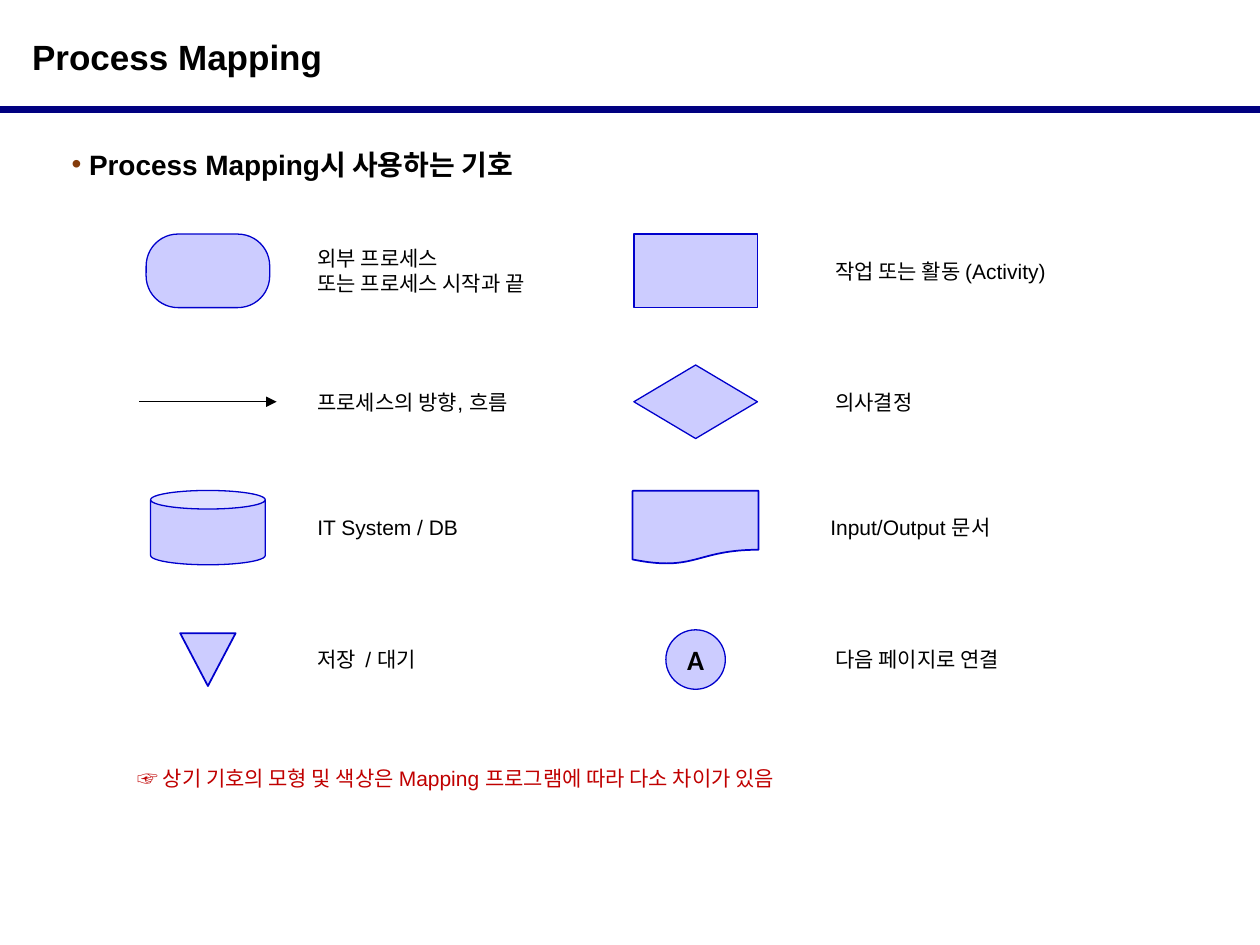
from typing import NamedTuple, Optional

from lxml import etree
from pptx import Presentation
from pptx.dml.color import RGBColor
from pptx.enum.shapes import MSO_CONNECTOR, MSO_SHAPE
from pptx.enum.text import MSO_ANCHOR, MSO_AUTO_SIZE, PP_ALIGN
from pptx.oxml.ns import qn
from pptx.util import Pt

TOP, MIDDLE = MSO_ANCHOR.TOP, MSO_ANCHOR.MIDDLE
LEFT, CENTER, JUSTIFY = PP_ALIGN.LEFT, PP_ALIGN.CENTER, PP_ALIGN.JUSTIFY
STRAIGHT = MSO_CONNECTOR.STRAIGHT

BLACK = RGBColor(0x00, 0x00, 0x00)
NAVY = RGBColor(0x00, 0x00, 0x80)
BLUE = RGBColor(0x00, 0x00, 0xCC)
LAVENDER = RGBColor(0xCC, 0xCC, 0xFF)
RED = RGBColor(0xC0, 0x00, 0x00)
BROWN = "843C0B"

# Legend grid in points: two columns, four row centres
SYMBOL_X = (118.8, 397.5)
LABEL_X = (177.1, 470.2)
ROW_Y = (154.8, 229.6, 301.5, 376.9)
WIDE, NARROW = 7.2, 4.3


class Symbol(NamedTuple):
    col: int
    row: int
    shape: Optional[MSO_SHAPE]  # None stands for the flow arrow
    w: float
    h: float
    label: tuple[str, ...]
    label_w: float = 136
    inset: float = NARROW
    line_w: float = 0.75
    adj: Optional[float] = None
    rotation: float = 0
    letter: str = ""


SYMBOLS = (
    Symbol(0, 0, MSO_SHAPE.ROUNDED_RECTANGLE, 70.6, 42,
           ("외부 프로세스", "또는 프로세스 시작과 끝"), 158.4, adj=0.433),
    Symbol(1, 0, MSO_SHAPE.RECTANGLE, 70.6, 42,
           ("작업 또는 활동 (Activity)",), 152, WIDE),
    Symbol(0, 1, None, 78.5, 0, ("프로세스의 방향, 흐름",)),
    Symbol(1, 1, MSO_SHAPE.DIAMOND, 70.6, 42, ("의사결정",), 72, WIDE),
    Symbol(0, 2, MSO_SHAPE.CAN, 65.5, 42.5, ("IT System / DB",), adj=0.25),
    Symbol(1, 2, MSO_SHAPE.FLOWCHART_DOCUMENT, 72, 42,
           ("Input/Output 문서",), line_w=1),
    Symbol(0, 3, MSO_SHAPE.ISOSCELES_TRIANGLE, 31.7, 30.2,
           ("저장  / 대기",), line_w=1, adj=0.5, rotation=180),
    Symbol(1, 3, MSO_SHAPE.OVAL, 34, 34, ("다음 페이지로 연결",), 131, WIDE,
           letter="A"),
)


def write(tf, lines: tuple[str, ...], size: float, color: RGBColor = BLACK,
          bold: bool = False, font: str = "Arial", align: PP_ALIGN = LEFT,
          anchor: MSO_ANCHOR = TOP, inset: float = WIDE,
          spacing: float = 1.0) -> None:
    tf.word_wrap = True
    tf.auto_size = MSO_AUTO_SIZE.NONE
    tf.vertical_anchor = anchor
    tf.margin_left = tf.margin_right = Pt(inset)
    tf.margin_top = tf.margin_bottom = Pt(3.6)
    for i, text in enumerate(lines):
        p = tf.paragraphs[0] if i == 0 else tf.add_paragraph()
        p.alignment, p.line_spacing = align, spacing
        r = p.add_run()
        r.text = text
        f = r.font
        f.name, f.size, f.bold = font, Pt(size), bold
        f.color.rgb = color


def add_text(s, x: float, y: float, w: float, h: float,
             lines: tuple[str, ...], size: float, **style):
    tf = s.shapes.add_textbox(Pt(x), Pt(y), Pt(w), Pt(h)).text_frame
    write(tf, lines, size, **style)
    return tf


def add_bullet(p, char: str, color: str, indent: float) -> None:
    pPr = p._p.get_or_add_pPr()
    pPr.set("marL", str(Pt(indent)))
    pPr.set("indent", str(-Pt(indent)))
    clr = etree.SubElement(pPr, qn("a:buClr"))
    etree.SubElement(clr, qn("a:srgbClr"), val=color)
    etree.SubElement(pPr, qn("a:buFont"), typeface="Arial")
    etree.SubElement(pPr, qn("a:buChar"), char=char)


def add_line(s, x1: float, x2: float, y: float, color: RGBColor,
             width: float, arrow: bool = False) -> None:
    c = s.shapes.add_connector(STRAIGHT, Pt(x1), Pt(y), Pt(x2), Pt(y))
    c.line.color.rgb = color
    c.line.width = Pt(width)
    if arrow:
        etree.SubElement(c.line._get_or_add_ln(), qn("a:tailEnd"),
                         type="triangle")
    etree.SubElement(c._element.spPr, qn("a:effectLst"))


def add_symbol(s, sym: Symbol) -> None:
    cx, cy = SYMBOL_X[sym.col], ROW_Y[sym.row]
    x = cx - sym.w / 2
    if sym.shape is None:
        add_line(s, x, x + sym.w, cy, BLACK, 0.75, arrow=True)
    else:
        sp = s.shapes.add_shape(sym.shape, Pt(x), Pt(cy - sym.h / 2),
                                Pt(sym.w), Pt(sym.h))
        sp.shadow.inherit = False
        sp.fill.solid()
        sp.fill.fore_color.rgb = LAVENDER
        sp.line.color.rgb = BLUE
        sp.line.width = Pt(sym.line_w)
        sp.rotation = sym.rotation
        if sym.adj is not None:
            sp.adjustments[0] = sym.adj
        if sym.letter:
            write(sp.text_frame, (sym.letter,), 16, bold=True, font="Calibri",
                  align=CENTER, anchor=MIDDLE, inset=0)
    h = 7.2 + 14.4 * len(sym.label)
    add_text(s, LABEL_X[sym.col], cy - h / 2, sym.label_w, h, sym.label, 12,
             anchor=MIDDLE, inset=sym.inset)


def main() -> None:
    prs = Presentation()
    prs.slide_width, prs.slide_height = Pt(720), Pt(540)
    s = prs.slides.add_slide(prs.slide_layouts[5])

    # Title and rule
    title = s.shapes.title
    title.left, title.top = Pt(0), Pt(16.6)
    title.width, title.height = Pt(720), Pt(31.7)
    write(title.text_frame, ("Process Mapping",), 20, bold=True, inset=18.3)
    add_line(s, 0, 720, 62.6, NAVY, 4.5)

    # Heading
    tf = add_text(s, 33.8, 77, 652, 28, ("Process Mapping시 사용하는 기호",),
                  16, bold=True, align=JUSTIFY, spacing=1.2)
    add_bullet(tf.paragraphs[0], "•", BROWN, 10)

    # Symbols with their meanings
    for sym in SYMBOLS:
        add_symbol(s, sym)

    # Remark
    add_text(s, 71.3, 431.3, 562, 24.5,
             ("☞ 상기 기호의 모형 및 색상은 Mapping 프로그램에 따라 다소 차이가 있음",),
             12, color=RED, align=JUSTIFY, spacing=1.2)

    prs.save("out.pptx")


if __name__ == "__main__":
    main()
